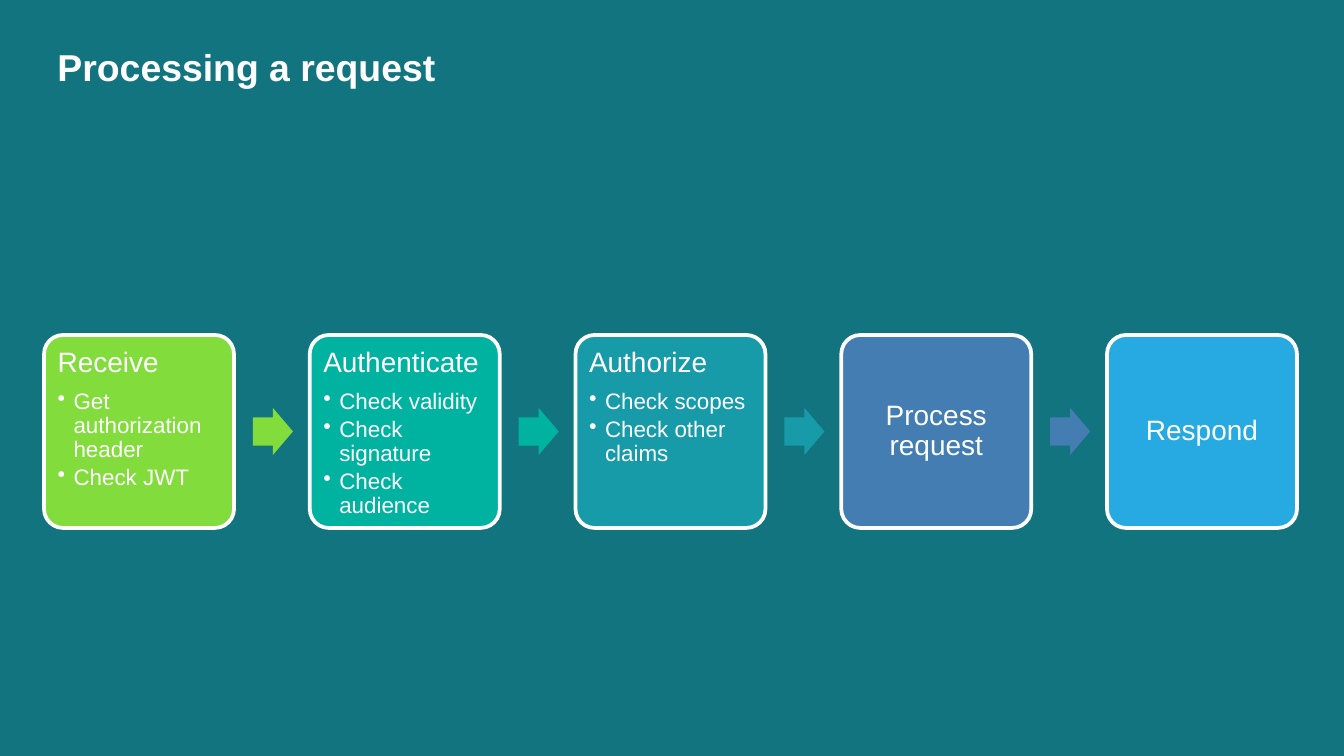
from pptx import Presentation
from pptx.dml.color import RGBColor
from pptx.enum.shapes import MSO_SHAPE as Shape
from pptx.enum.text import MSO_ANCHOR as Anchor, MSO_AUTO_SIZE as AutoSize, PP_ALIGN as Align
from pptx.oxml.ns import qn
from pptx.util import Pt
from lxml.etree import SubElement

# Content: (heading, bullets, colour)
TITLE = "Processing a request"
STEPS = [
    ("Receive", ["Get authorization header", "Check JWT"], "82DC3C"),
    ("Authenticate", ["Check validity", "Check signature", "Check audience"], "00B3A0"),
    ("Authorize", ["Check scopes", "Check other claims"], "189BA9"),
    ("Process request", [], "437DB2"),
    ("Respond", [], "27AAE1"),
]
THEME = {"font": "Arial", "background": "12747F", "text": "FFFFFF",
         "title": 20, "heading": 15, "bullet": 12, "outline": 2}

# Layout in px
SLIDE_W, SLIDE_H = 1344, 756
TITLE_BOX = (44, 19, 1254, 87)
BOX_W, BOX_H, BOX_TOP = 190, 193, 335
FIRST_LEFT, LAST_LEFT = 44, 1107
ARROW_W, ARROW_H, ARROW_GAP = 40, 47, 19
PADDING, BULLET_INDENT = 8, 16


def px(value):
    return round(value * 914400 / 134.4)


def rgb(name):
    return RGBColor.from_string(THEME.get(name, name))


def format_paragraph(paragraph, size, line_spacing, space_after, bold=False):
    paragraph.line_spacing = line_spacing
    paragraph.space_after = Pt(space_after)
    for run in paragraph.runs:
        run.font.name = THEME["font"]
        run.font.size = Pt(THEME[size])
        run.font.bold = bold
        run.font.color.rgb = rgb("text")


def add_bullet(paragraph):
    paragraph.level = 1
    properties = paragraph._p.get_or_add_pPr()
    properties.set("marL", str(px(BULLET_INDENT)))
    properties.set("indent", str(-px(BULLET_INDENT)))
    SubElement(properties, qn("a:buChar")).set("char", "•")


def add_shape(slide, kind, box, color, adjustments):
    shape = slide.shapes.add_shape(kind, *map(px, box))
    shape.shadow.inherit = False
    shape.fill.solid()
    shape.fill.fore_color.rgb = rgb(color)
    shape.line.fill.background()
    for index, value in enumerate(adjustments):
        shape.adjustments[index] = value
    return shape


def add_step(slide, left, heading, bullets, color):
    shape = add_shape(slide, Shape.ROUNDED_RECTANGLE,
                      (left, BOX_TOP, BOX_W, BOX_H), color, [0.1])
    shape.line.color.rgb = rgb("text")
    shape.line.width = Pt(THEME["outline"])

    frame = shape.text_frame
    frame.word_wrap = True
    frame.margin_left = frame.margin_right = px(PADDING)
    frame.margin_top = frame.margin_bottom = px(PADDING)
    frame.vertical_anchor = Anchor.TOP if bullets else Anchor.MIDDLE
    frame.text = "\n".join([heading, *bullets])
    first, *rest = frame.paragraphs
    first.alignment = Align.LEFT if bullets else Align.CENTER
    format_paragraph(first, "heading", 0.9, 6)
    for paragraph in rest:
        paragraph.alignment = Align.LEFT
        format_paragraph(paragraph, "bullet", 0.9, 2)
        add_bullet(paragraph)


# Slide and background
presentation = Presentation()
presentation.slide_width, presentation.slide_height = px(SLIDE_W), px(SLIDE_H)
slide = presentation.slides.add_slide(presentation.slide_layouts[5])
slide.background.fill.solid()
slide.background.fill.fore_color.rgb = rgb("background")

# Title
title = slide.shapes.title
title.left, title.top, title.width, title.height = map(px, TITLE_BOX)
title.text_frame.text = TITLE
title.text_frame.auto_size = AutoSize.NONE
title.text_frame.vertical_anchor = Anchor.MIDDLE
paragraph = title.text_frame.paragraphs[0]
paragraph.alignment = Align.LEFT
paragraph.space_before = Pt(2)
format_paragraph(paragraph, "title", 1.2, 2, bold=True)

# Process steps, with an arrow in each gap
pitch = (LAST_LEFT - FIRST_LEFT) / (len(STEPS) - 1)
arrow_top = BOX_TOP + (BOX_H - ARROW_H) / 2
for index, (heading, bullets, color) in enumerate(STEPS):
    left = FIRST_LEFT + index * pitch
    add_step(slide, left, heading, bullets, color)
    if index < len(STEPS) - 1:
        add_shape(slide, Shape.RIGHT_ARROW,
                  (left + BOX_W + ARROW_GAP, arrow_top, ARROW_W, ARROW_H),
                  color, [0.6, 0.5])

presentation.save("out.pptx")
